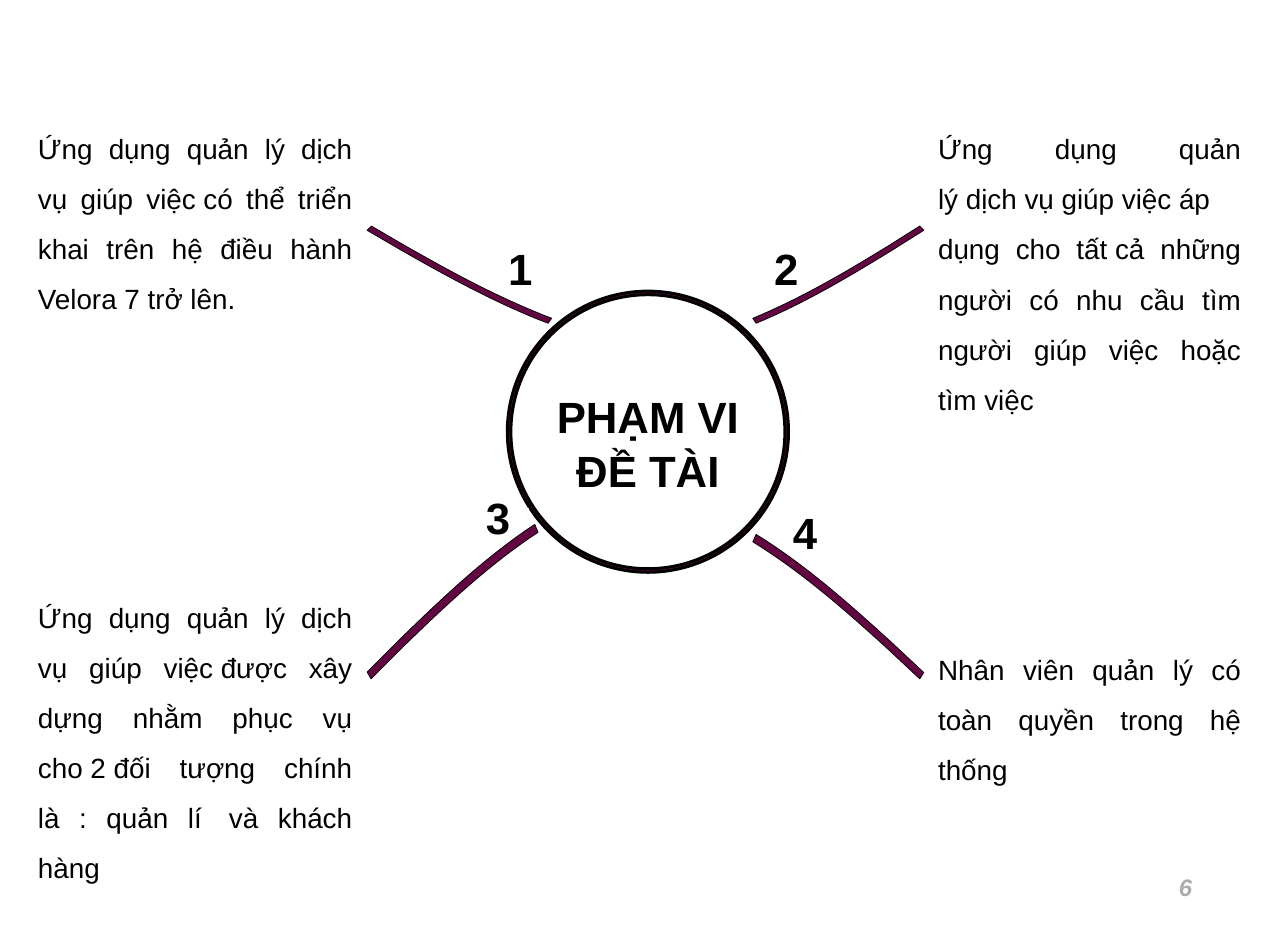
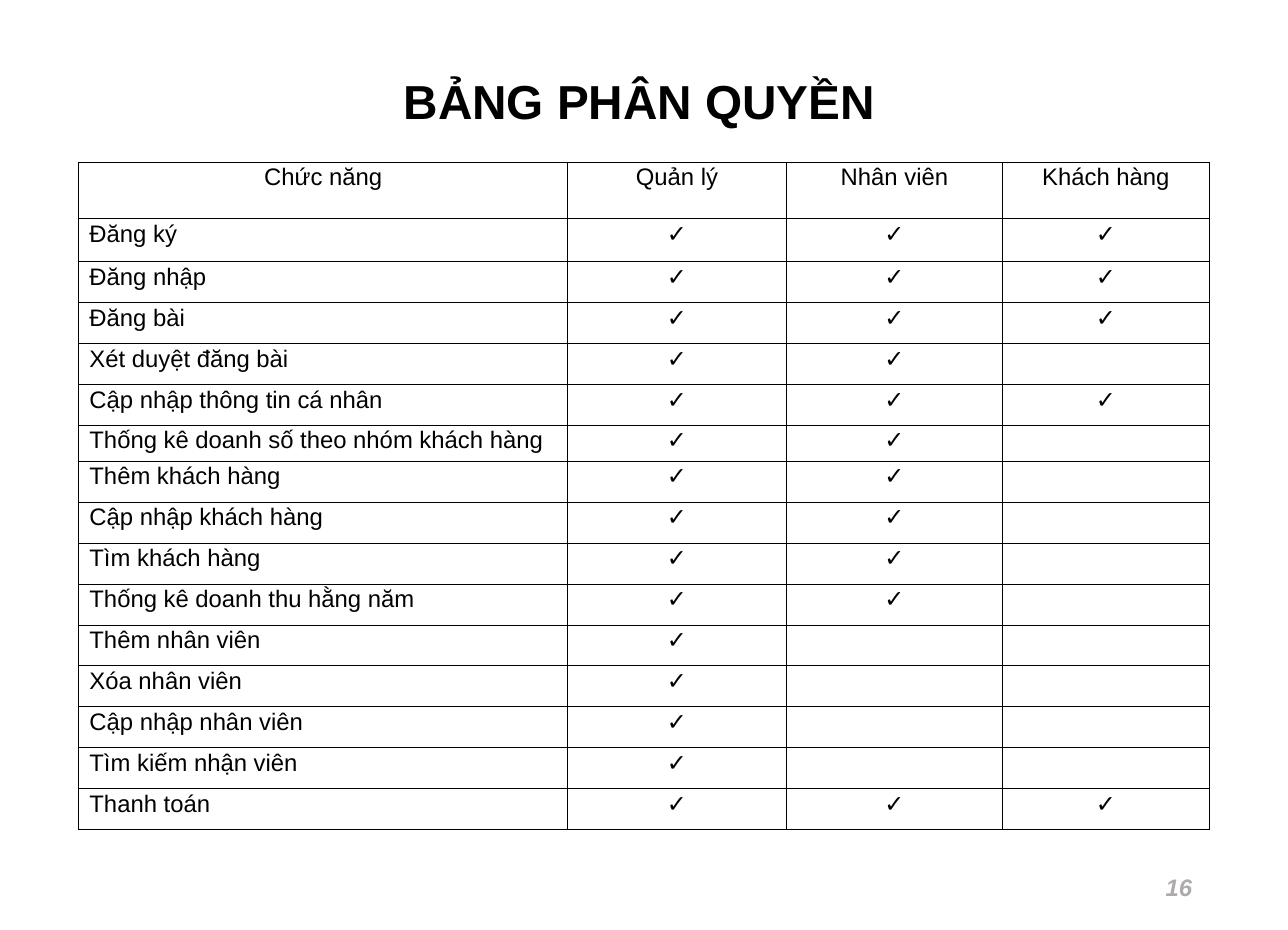
"""Builds two slides: the scope of a project and its table of permissions."""
from lxml import etree
from pptx import Presentation
from pptx.dml.color import RGBColor
from pptx.enum.shapes import MSO_SHAPE
from pptx.enum.text import MSO_ANCHOR, PP_ALIGN
from pptx.oxml.ns import qn
from pptx.util import Inches, Pt

LEFT, CENTER, RIGHT, JUSTIFY = PP_ALIGN.LEFT, PP_ALIGN.CENTER, PP_ALIGN.RIGHT, PP_ALIGN.JUSTIFY
TOP, MIDDLE = MSO_ANCHOR.TOP, MSO_ANCHOR.MIDDLE
DONUT, RECTANGLE = MSO_SHAPE.DONUT, MSO_SHAPE.RECTANGLE
FONT = "Arial"
COLORS = {"text": "000000", "plum": "630742", "number": "AFABAB", "frame": "FFFFFF"}
HARD_SPACE_MARK, HARD_SPACE = "~", chr(160)

HUB_TITLE = "PHẠM VI ĐỀ TÀI"
HUB = (7.09, 4.07, 3.93, 3.93)
HUB_BAND = 0.05

SCOPES = [
    {"label": "1", "label_box": (7.1, 3.62, 1.32, 0.51), "align": LEFT,
     "text": "Ứng dụng quản lý dịch vụ giúp việc~có thể triển khai trên hệ điều hành Velora 7 trở lên.",
     "text_box": (0.53, 1.61, 4.39, 2.74),
     "arc_box": (5.13, 3.16, 2.58, 1.36), "flip": (False, False)},
    {"label": "2", "label_box": (10.52, 3.62, 0.64, 0.51), "align": RIGHT,
     "text": "Ứng dụng quản lý~dịch~vụ~giúp~việc~áp dụng cho tất~cả những người có nhu cầu "
             "tìm người giúp việc hoặc tìm~việc",
     "text_box": (13.11, 1.61, 4.23, 4.15),
     "arc_box": (10.52, 3.16, 2.39, 1.36), "flip": (True, False)},
    {"label": "3", "label_box": (6.79, 7.11, 0.59, 0.51), "align": LEFT,
     "text": "Ứng dụng quản lý dịch vụ giúp việc~được xây dựng nhằm phục vụ cho~2~đối tượng chính "
             "là : quản lí~ và khách hàng",
     "text_box": (0.53, 8.16, 4.39, 3.45),
     "arc_box": (5.13, 7.33, 2.39, 2.16), "flip": (False, True)},
    {"label": "4", "label_box": (10.84, 7.31, 0.58, 0.51), "align": RIGHT,
     "text": "Nhân viên quản lý có toàn quyền trong hệ thống",
     "text_box": (13.11, 8.89, 4.23, 2.03),
     "arc_box": (10.52, 7.47, 2.39, 2.02), "flip": (True, True)},
]

ARC_SIZE = (2.58, 1.36)
ARC_UPPER = [(0.06, 0), (0.54, 0.28), (1.19, 0.65), (1.85, 1.01), (2.58, 1.29)]
ARC_LOWER = [(0, 0.06), (0.48, 0.34), (1.13, 0.71), (1.8, 1.08), (2.53, 1.36)]
ARC_STEPS = 16

TABLE_TITLE = "BẢNG PHÂN QUYỀN~"
HEADERS = ["Chức năng", "Quản lý", "Nhân viên", "Khách hàng"]
PERMISSIONS = [
    ("Đăng ký", 3),
    ("Đăng nhập", 3),
    ("Đăng bài", 3),
    ("Xét duyệt đăng bài", 2),
    ("Cập nhập thông tin cá nhân", 3),
    ("Thống kê doanh số theo nhóm khách hàng", 2),
    ("Thêm khách hàng~", 2),
    ("Cập nhập khách hàng", 2),
    ("Tìm khách hàng", 2),
    ("Thống kê doanh thu hằng năm", 2),
    ("Thêm nhân viên", 1),
    ("Xóa nhân viên", 1),
    ("Cập nhập nhân viên", 1),
    ("Tìm kiếm nhận viên", 1),
    ("Thanh toán", 3),
]
COLUMN_WIDTHS = [6.83, 3.06, 3.02, 2.89]
TABLE_HEIGHT = 9.33
SPECIAL_HEIGHTS = {0: 0.79, 1: 0.6, 6: 0.5}


def color(name):
    return RGBColor.from_string(COLORS[name])


def inches(values):
    return [Inches(value) for value in values]


def hard_spaced(text):
    return text.replace(HARD_SPACE_MARK, HARD_SPACE)


def style(para, size, align, spacing=None, bold=False, italic=False, tint="text"):
    para.alignment = align
    para.line_spacing = spacing
    font = para.font
    font.name, font.size, font.bold, font.italic = FONT, Pt(size), bold, italic
    font.color.rgb = color(tint)


def fill_text(box, text, size, align, spacing, bold=False):
    frame = box.text_frame
    frame.word_wrap = True
    frame.vertical_anchor = TOP
    frame.margin_left = frame.margin_right = frame.margin_top = frame.margin_bottom = 0
    frame.text = hard_spaced(text)
    style(frame.paragraphs[0], size, align, spacing, bold)


def add_text(page, place, *text_style):
    fill_text(page.shapes.add_textbox(*inches(place)), *text_style)


def add_label(page, place, text, align, spacing):
    box = page.shapes.add_shape(RECTANGLE, *inches(place))
    box.shadow.inherit = False
    box.fill.background()
    box.line.color.rgb = color("frame")
    box.line.width = Pt(0.75)
    fill_text(box, text, 44, align, Pt(spacing), True)


def add_page_number(page, number):
    frame = page.shapes.add_textbox(*inches((12.71, 12.05, 4.05, 0.69))).text_frame
    frame.word_wrap = True
    frame.vertical_anchor = MIDDLE
    frame.text = str(number)
    style(frame.paragraphs[0], 24, RIGHT, bold=True, italic=True, tint="number")


def paint(shape, line_width):
    shape.shadow.inherit = False
    shape.fill.solid()
    shape.fill.fore_color.rgb = color("plum")
    shape.line.color.rgb = color("text")
    shape.line.width = Pt(line_width)


def edge_points(edge):
    """Returns a straight start followed by points along a cubic curve."""
    points = [edge[0]]
    for step in range(ARC_STEPS + 1):
        t = step / ARC_STEPS
        weights = ((1 - t) ** 3, 3 * t * (1 - t) ** 2, 3 * t * t * (1 - t), t ** 3)
        points.append(tuple(sum(weight * point[axis] for weight, point in zip(weights, edge[1:]))
                            for axis in (0, 1)))
    return points


def add_arc(page, place, flip):
    outline = []
    for point in edge_points(ARC_UPPER) + edge_points(ARC_LOWER)[::-1]:
        shares = [value / full for value, full in zip(point, ARC_SIZE)]
        shares = [1 - share if turned else share for share, turned in zip(shares, flip)]
        outline.append([Inches(place[axis] + shares[axis] * place[axis + 2]) for axis in (0, 1)])
    builder = page.shapes.build_freeform(*outline[0])
    builder.add_line_segments(outline[1:], close=True)
    paint(builder.convert_to_shape(), 0.75)


def add_borders(cell):
    properties = cell._tc.get_or_add_tcPr()
    for index, side in enumerate(("a:lnL", "a:lnR", "a:lnT", "a:lnB")):
        line = etree.Element(qn(side), w=str(Pt(1)))
        fill = etree.SubElement(line, qn("a:solidFill"))
        etree.SubElement(fill, qn("a:srgbClr"), val=COLORS["text"])
        properties.insert(index, line)


def build_scope(page):
    ring = page.shapes.add_shape(DONUT, *inches(HUB))
    ring.adjustments[0] = HUB_BAND / HUB[2]
    paint(ring, 3)
    add_label(page, (7.67, 5.41, 2.77, 1.49), HUB_TITLE, CENTER, 55.2)
    for scope in SCOPES:
        add_label(page, scope["label_box"], scope["label"], scope["align"], 35.3)
        add_text(page, scope["text_box"], scope["text"], 28, JUSTIFY, 1.5)
        add_arc(page, scope["arc_box"], scope["flip"])
    add_page_number(page, 6)


def build_permissions(page):
    add_text(page, (5.39, 0.8, 7.28, 0.91), TABLE_TITLE, 48, CENTER, Pt(72), True)
    roles = len(HEADERS) - 1
    rows = [HEADERS] + [[name] + ["✓"] * count + [""] * (roles - count)
                        for name, count in PERMISSIONS]
    regular = (TABLE_HEIGHT - sum(SPECIAL_HEIGHTS.values())) / (len(rows) - len(SPECIAL_HEIGHTS))
    place = inches((1.1, 2.27, sum(COLUMN_WIDTHS), TABLE_HEIGHT))
    table = page.shapes.add_table(len(rows), len(HEADERS), *place).table
    table.first_row = table.horz_banding = False
    for column, width in zip(table.columns, COLUMN_WIDTHS):
        column.width = Inches(width)
    for row_index, (row, texts) in enumerate(zip(table.rows, rows)):
        row.height = Inches(SPECIAL_HEIGHTS.get(row_index, regular))
        for column_index, (cell, text) in enumerate(zip(row.cells, texts)):
            cell.margin_left = cell.margin_right = Inches(0.15)
            cell.margin_top = cell.margin_bottom = 0
            cell.fill.background()
            add_borders(cell)
            cell.text = hard_spaced(text)
            align = LEFT if row_index and not column_index else CENTER
            style(cell.text_frame.paragraphs[0], 24, align, 1.07, bold=text == "✓")
    add_page_number(page, 16)


def main():
    deck = Presentation()
    deck.slide_width, deck.slide_height = Inches(18), Inches(13)
    for build in (build_scope, build_permissions):
        build(deck.slides.add_slide(deck.slide_layouts[6]))
    deck.save("out.pptx")


if __name__ == "__main__":
    main()
